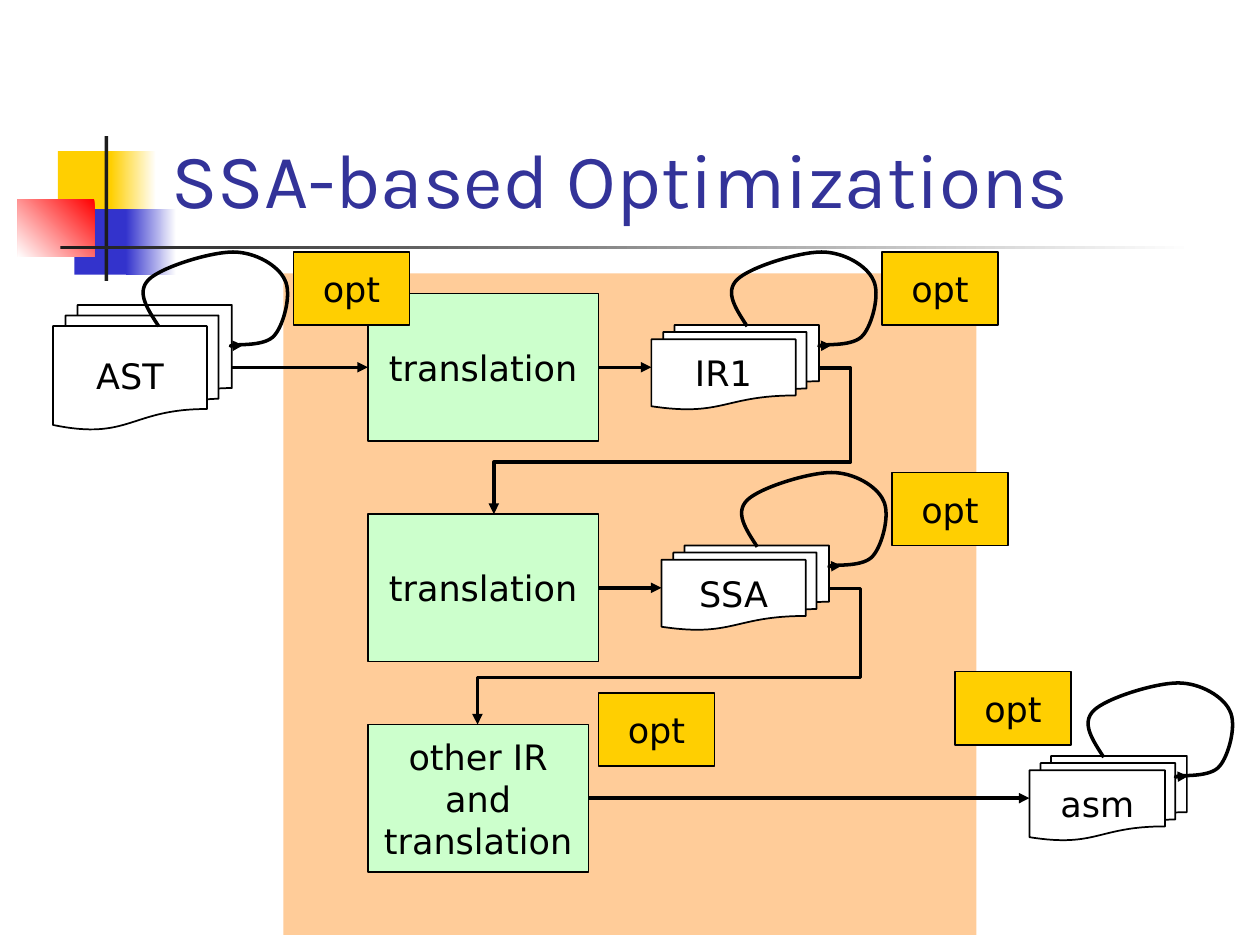
from lxml import etree
from pptx import Presentation
from pptx import util as u
from pptx.dml.color import RGBColor
from pptx.enum import shapes, text
from pptx.oxml.ns import qn

Inches = u.Inches
COLORS = {
    "yellow": "FFCF01", "blue": "3333CC", "red": "FF0000", "dark": "1C1C1C",
    "title": "333399", "panel": "FFCC99", "step": "CCFFCC",
    "white": "FFFFFF", "black": "000000",
}
RGB = {name: RGBColor.from_string(code) for name, code in COLORS.items()}
KIND = shapes.MSO_SHAPE

prs = Presentation()
prs.slide_width, prs.slide_height = Inches(10), Inches(7.5)
slide = prs.slides.add_slide(prs.slide_layouts[5])


def add_box(box, color, kind=KIND.RECTANGLE, label=None):
    part = slide.shapes.add_shape(kind, *[Inches(v) for v in box])
    part.shadow.inherit = False
    part.fill.solid()
    part.fill.fore_color.rgb = RGB[color]
    if label is None:
        part.line.fill.background()
        return part
    part.line.color.rgb = RGB["black"]
    part.line.width = u.Pt(1)
    frame = part.text_frame
    frame.word_wrap = True
    frame.vertical_anchor = text.MSO_ANCHOR.MIDDLE
    paragraph = frame.paragraphs[0]
    paragraph.alignment = text.PP_ALIGN.CENTER
    paragraph.space_before = u.Pt(12.5)
    run = paragraph.add_run()
    run.text = label
    run.font.name = "DejaVu Sans"
    run.font.size = u.Pt(20)
    run.font.color.rgb = RGB["black"]
    return part


def style_arrow(arrow):
    arrow.line.color.rgb = RGB["black"]
    arrow.line.width = u.Pt(2)
    line = arrow.line._get_or_add_ln()
    etree.SubElement(line, qn("a:tailEnd"), type="triangle")
    properties = arrow._element.spPr
    if properties.find(qn("a:effectLst")) is None:
        etree.SubElement(properties, qn("a:effectLst"))


ornaments = [
    ((0.46, 1.2, 0.48, 0.52), "yellow", None),
    ((0.88, 1.2, 0.36, 0.52), "yellow", 0),
    ((0.59, 1.66, 0.46, 0.52), "blue", None),
    ((1, 1.66, 0.4, 0.52), "blue", 0),
    ((0.14, 1.58, 0.61, 0.46), "red", 225),
    ((0.83, 1.08, 0.03, 1.15), "dark", None),
    ((0.48, 1.95, 9, 0.03), "dark", 0),
]
for box, color, angle in ornaments:
    ornament = add_box(box, color)
    if angle is not None:
        ornament.fill.gradient()
        ornament.fill.gradient_angle = angle
        for stop, shade in zip(ornament.fill.gradient_stops, (color, "white")):
            stop.color.rgb = RGB[shade]

title = slide.shapes.title
title.left, title.top = Inches(1.26), Inches(0.23)
title.width, title.height = Inches(8.52), Inches(1.6)
title.text_frame.vertical_anchor = text.MSO_ANCHOR.BOTTOM
heading = title.text_frame.paragraphs[0]
heading.alignment = text.PP_ALIGN.LEFT
heading_run = heading.add_run()
heading_run.text = "SSA-based Optimizations"
heading_run.font.name = "Karla"
heading_run.font.size = u.Pt(44)
heading_run.font.color.rgb = RGB["title"]

add_box((2.25, 2.17, 5.5, 5.25), "panel")

programs = {}
for label, box in [
    ("AST", (0.42, 2.42, 1.42, 0.99)),
    ("IR1", (5.17, 2.58, 1.33, 0.67)),
    ("SSA", (5.25, 4.33, 1.33, 0.67)),
    ("asm", (8.17, 6, 1.25, 0.67)),
]:
    programs[label] = add_box(box, "white", KIND.FLOWCHART_MULTIDOCUMENT, label)

steps = []
for label, top, width in [
    ("translation", 2.33, 1.83),
    ("translation", 4.08, 1.83),
    ("other IR and translation", 5.75, 1.75),
]:
    steps.append(add_box((2.92, top, width, 1.17), "step", KIND.FLOWCHART_PROCESS, label))

for source, target in [
    (programs["AST"], steps[0]),
    (steps[0], programs["IR1"]),
    (steps[1], programs["SSA"]),
    (steps[2], programs["asm"]),
]:
    flow = slide.shapes.add_connector(shapes.MSO_CONNECTOR.STRAIGHT, 0, 0, 0, 0)
    flow.begin_connect(source, 3)
    flow.end_connect(target, 1)
    style_arrow(flow)

for ends, bends in [
    ((6.5, 2.92, 3.92, 4.08), (-9700, 64300)),
    ((6.58, 4.67, 3.79, 5.75), (-8900, 65400)),
]:
    descent = slide.shapes.add_connector(
        shapes.MSO_CONNECTOR.ELBOW, *[Inches(v) for v in ends])
    geometry = descent._element.spPr.find(qn("a:prstGeom"))
    geometry.set("prst", "bentConnector4")
    guides = geometry.find(qn("a:avLst"))
    if guides is None:
        guides = etree.SubElement(geometry, qn("a:avLst"))
    for number, bend in enumerate(bends, 1):
        etree.SubElement(guides, qn("a:gd"), name=f"adj{number}", fmla=f"val {bend}")
    style_arrow(descent)

LOOP_CURVE = [
    (0.09, 0.45), (0, 0.32), (0.1, 0.22),
    (0.2, 0.12), (0.59, 0), (0.77, 0),
    (0.95, 0), (1.13, 0.11), (1.18, 0.22),
    (1.24, 0.33), (1.17, 0.58), (1.1, 0.66),
    (1.03, 0.75), (0.81, 0.73), (0.77, 0.74),
    (0.73, 0.75), (0.79, 0.74), (0.85, 0.74),
]
for left, top in [(1.08, 2), (5.75, 2), (5.83, 3.75), (8.58, 5.42)]:
    builder = slide.shapes.build_freeform(Inches(left + 0.18), Inches(top + 0.59))
    builder.add_line_segments(
        [(Inches(left + x), Inches(top + y)) for x, y in LOOP_CURVE], close=False)
    loop = builder.convert_to_shape()
    loop.shadow.inherit = False
    loop.fill.background()
    outline = loop._element.find(".//" + qn("a:path"))
    segments = outline.findall(qn("a:lnTo"))
    for start in range(0, len(segments), 3):
        curve = etree.SubElement(outline, qn("a:cubicBezTo"))
        for segment in segments[start:start + 3]:
            curve.append(segment[0])
            outline.remove(segment)
    style_arrow(loop)

for left, top in [(2.33, 2), (7, 2), (7.08, 3.75), (7.58, 5.33), (4.75, 5.5)]:
    add_box((left, top, 0.92, 0.58), "yellow", KIND.FLOWCHART_PROCESS, "opt")

prs.save("out.pptx")
